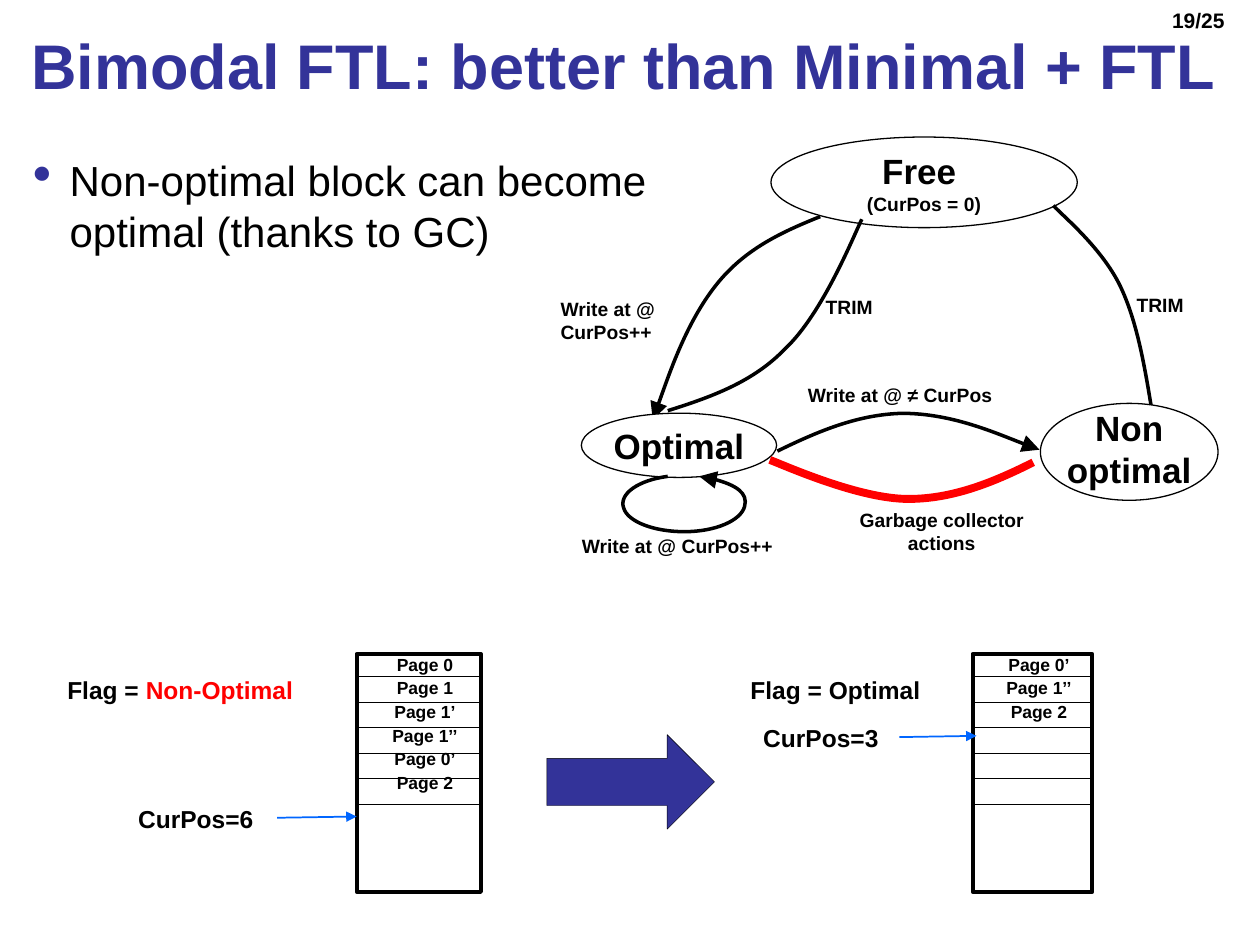
"""Build the slide on bimodal FTL block states and block clean-up."""
import lxml.etree
import pptx
import pptx.dml.color
import pptx.enum.shapes
import pptx.enum.text
import pptx.oxml.ns
import pptx.util
from dataclasses import dataclass

Pt = pptx.util.Pt
ALIGN = pptx.enum.text.PP_ALIGN
ANCHOR = pptx.enum.text.MSO_ANCHOR
SHAPE = pptx.enum.shapes.MSO_SHAPE


@dataclass(frozen=True)
class Theme:
    font: str = "Arial"
    ink: str = "000000"
    accent: str = "333399"
    alert: str = "FF0000"
    pointer: str = "0066FF"
    paper: str = "FFFFFF"
    title: int = 36
    body: int = 24
    state: int = 20
    flag: int = 14
    number: int = 12
    label: int = 11
    entry: int = 10


THEME = Theme()
INSETS = (7.2, 3.6, 7.2, 3.6)

NUMBER = ((649.5, 0.5, 70.5, 36), "19/25")
TITLE = ((10.8, 0, 698.4, 62), "Bimodal FTL: better than Minimal + FTL")
BODY = ((11.7, 85, 389.5, 129.6), "Non-optimal block can become optimal (thanks to GC)")

STATES = {
    "free": ((440.6, 78.3, 175, 51.8), [("Free ", THEME.state), ("(CurPos = 0)", THEME.label)], 0),
    "optimal": ((332.2, 236.1, 111.6, 36.7), [("Optimal", THEME.state)], 0),
    "non-optimal": ((594.5, 230.5, 101.5, 55.4), [("Non optimal", THEME.state)], 3.6),
}

CURVES = {
    "first write": [(468.7, 123.8), (447.1, 132.5), (427, 141.8), (411.1, 160.6),
                    (392.4, 182.9), (376.6, 230.4), (373, 239.8)],
    "trim optimal": [(381.6, 234.7), (406.8, 226.8), (430.6, 218.2), (448.6, 199.4),
                     (470.2, 179.3), (488.2, 133.9), (492.5, 125.3)],
    "random write": [(444.2, 257.8), (468, 246.2), (490.3, 236.9), (515.5, 236.2),
                     (544.3, 236.2), (585.4, 254.2), (594, 257)],
    "trim non-optimal": [(658.1, 234), (653.8, 207.4), (649.4, 182.9), (640.1, 163.4),
                         (629.3, 141.1), (606.2, 122.4), (601.9, 117.4)],
    "next write": [(381.6, 272.2), (365, 274.3), (353.5, 282.2), (356.4, 290.2),
                   (358.6, 298.1), (373.7, 303.8), (391, 303.8), (409, 303.8),
                   (423.4, 297.4), (425.5, 289.4), (427.7, 281.5), (416.2, 274.3),
                   (399.6, 272.2)],
    "collection": [(590.4, 264.2), (567.4, 275.8), (544.3, 285.1), (519.1, 285.1),
                   (491, 285.1), (449.3, 266.4), (439.9, 262.8)],
}
ARROWED = {"first write", "random write", "next write"}
DRAW_ORDER = ["free", "first write", "trim optimal", "optimal", "random write",
              "trim non-optimal", "next write", "collection", "non-optimal"]

LABELS = [
    ((639.2, 163.8, 47.5, 20.9), ["TRIM"], ALIGN.CENTER),
    ((461.5, 164.9, 47.5, 20.9), ["TRIM"], ALIGN.CENTER),
    ((473.4, 286.9, 129.6, 33.8), ["Garbage collector", "actions"], ALIGN.CENTER),
    ((454.5, 215.3, 142.6, 20.9), ["Write at @ ≠ CurPos"], ALIGN.LEFT),
    ((325.4, 301.7, 146.9, 20.9), ["Write at @ CurPos++"], ALIGN.LEFT),
    ((313.2, 166.3, 77.8, 33.8), ["Write at @", "CurPos++"], ALIGN.LEFT),
]

BLOCKS = [
    {"left": 203.8, "width": 71, "list": (213.3, 59),
     "entries": ["Page 0", "Page 1", "Page 1’", "Page 1’’", "Page 0’", "Page 2"],
     "flag": (16.6, 172.8), "state": ("Non-Optimal", THEME.alert),
     "cursor": ((61.5, 455.8, 100.8, 24.5), "CurPos=6"),
     "pointer": ((158.4, 467.3), (203.8, 466.6))},
    {"left": 555.8, "width": 68.4, "list": (565.2, 56.9),
     "entries": ["Page 0’", "Page 1’’", "Page 2"],
     "flag": (412.6, 129.6), "state": ("Optimal", THEME.ink),
     "cursor": ((420.5, 409.7, 97.2, 24.5), "CurPos=3"),
     "pointer": ((513.9, 421.2), (558, 420.5))},
]
LIST_TOP = 370.1
BLOCK_TOP, BLOCK_HEIGHT = 373.7, 136
ROW_TOP, ROW_STEP, ROW_COUNT = 386.6, 14.55, 6
ARROW = (312.5, 419.8, 95.8, 54)


def color(value):
    return pptx.dml.color.RGBColor.from_string(value)


def lengths(values):
    return [Pt(value) for value in values]


def child(parent, tag, **attributes):
    return lxml.etree.SubElement(parent, pptx.oxml.ns.qn(tag), attributes)


def write(shape, paras, align=ALIGN.CENTER, anchor=ANCHOR.TOP, insets=INSETS, bold=True, gap=0):
    frame = shape.text_frame
    frame.word_wrap = True
    frame.vertical_anchor = anchor
    frame.margin_left, frame.margin_top, frame.margin_right, frame.margin_bottom = lengths(insets)
    for index, spans in enumerate(paras):
        para = frame.add_paragraph() if index else frame.paragraphs[0]
        para.alignment = align
        if index and gap:
            para.space_before = Pt(gap)
        for text, size, ink in spans:
            span = para.add_run()
            span.text = text
            span.font.name, span.font.size, span.font.bold = THEME.font, Pt(size), bold
            span.font.color.rgb = color(ink)
    return frame


def add_text(page, rect, paras, **options):
    return write(page.shapes.add_textbox(*lengths(rect)), paras, **options)


def add_preset(page, kind, rect, fill, weight):
    shape = page.shapes.add_shape(kind, *lengths(rect))
    shape.shadow.inherit = False
    if fill:
        shape.fill.solid()
        shape.fill.fore_color.rgb = color(fill)
    else:
        shape.fill.background()
    shape.line.color.rgb = color(THEME.ink)
    shape.line.width = Pt(weight)
    return shape


def stroke(shape, ink, weight, arrow):
    shape.line.color.rgb = color(ink)
    shape.line.width = Pt(weight)
    if arrow:
        child(shape.line._get_or_add_ln(), "a:tailEnd", type="triangle", w=arrow, len=arrow)


def add_line(page, start, end, ink, weight, arrow=None):
    line = page.shapes.add_connector(
        pptx.enum.shapes.MSO_CONNECTOR.STRAIGHT, *lengths(start + end))
    stroke(line, ink, weight, arrow)
    child(line._element.spPr, "a:effectLst")


def add_curve(page, controls, ink, weight, arrow):
    points = [tuple(lengths(point)) for point in controls]
    builder = page.shapes.build_freeform(*points[0])
    builder.add_line_segments(points[1:], close=False)
    curve = builder.convert_to_shape()
    outline = next(curve._element.iter(pptx.oxml.ns.qn("a:path")))
    segments = outline.findall(pptx.oxml.ns.qn("a:lnTo"))
    for first in range(0, len(segments), 3):
        bend = child(outline, "a:cubicBezTo")
        for segment in segments[first:first + 3]:
            bend.append(segment[0])
            outline.remove(segment)
    curve.shadow.inherit = False
    curve.fill.background()
    stroke(curve, ink, weight, arrow)


def add_body(page):
    rect, text = BODY
    frame = add_text(page, rect, [[(text, THEME.body, THEME.ink)]], align=ALIGN.LEFT, bold=False)
    properties = frame.paragraphs[0]._p.get_or_add_pPr()
    properties.set("marL", str(Pt(21)))
    properties.set("indent", str(-Pt(21)))
    child(child(properties, "a:buClr"), "a:srgbClr", val=THEME.accent)
    child(properties, "a:buSzPct", val="130000")
    child(properties, "a:buChar", char="•")


def add_diagram(page):
    for name in DRAW_ORDER:
        if name in STATES:
            rect, lines, bottom = STATES[name]
            ellipse = add_preset(page, SHAPE.OVAL, rect, THEME.paper, 0.75)
            write(ellipse, [[(text, size, THEME.ink)] for text, size in lines],
                  anchor=ANCHOR.MIDDLE, insets=(0, 0, 0, bottom))
        else:
            ink, weight = (THEME.alert, 4.5) if name == "collection" else (THEME.ink, 2)
            add_curve(page, CURVES[name], ink, weight, "lg" if name in ARROWED else None)
    for rect, lines, align in LABELS:
        add_text(page, rect, [[(text, THEME.label, THEME.ink)] for text in lines], align=align)


def add_block(page, block):
    left, width = block["left"], block["width"]
    list_left, list_width = block["list"]
    add_text(page, (list_left, LIST_TOP, list_width, 100),
             [[(text, THEME.entry, THEME.ink)] for text in block["entries"]], gap=1.5)
    add_preset(page, SHAPE.RECTANGLE, (left, BLOCK_TOP, width, BLOCK_HEIGHT), None, 2.25)
    for row in range(ROW_COUNT):
        y = ROW_TOP + row * ROW_STEP
        add_line(page, (left, y), (left + width, y), THEME.ink, 0.25)
    flag_left, flag_width = block["flag"]
    state, ink = block["state"]
    add_text(page, (flag_left, 382.3, flag_width, 24.5),
             [[("Flag = ", THEME.flag, THEME.ink), (state, THEME.flag, ink)]])
    rect, text = block["cursor"]
    add_text(page, rect, [[(text, THEME.flag, THEME.ink)]])
    add_line(page, *block["pointer"], THEME.pointer, 1, arrow="med")


def main():
    deck = pptx.Presentation()
    deck.slide_width, deck.slide_height = Pt(720), Pt(540)
    page = deck.slides.add_slide(deck.slide_layouts[6])
    add_text(page, NUMBER[0], [[(NUMBER[1], THEME.number, THEME.ink)]])
    add_text(page, TITLE[0], [[(TITLE[1], THEME.title, THEME.accent)]],
             align=ALIGN.LEFT, anchor=ANCHOR.BOTTOM)
    add_diagram(page)
    add_body(page)
    for block in BLOCKS:
        add_block(page, block)
    add_preset(page, SHAPE.RIGHT_ARROW, ARROW, THEME.accent, 0.25)
    deck.save("out.pptx")


if __name__ == "__main__":
    main()
